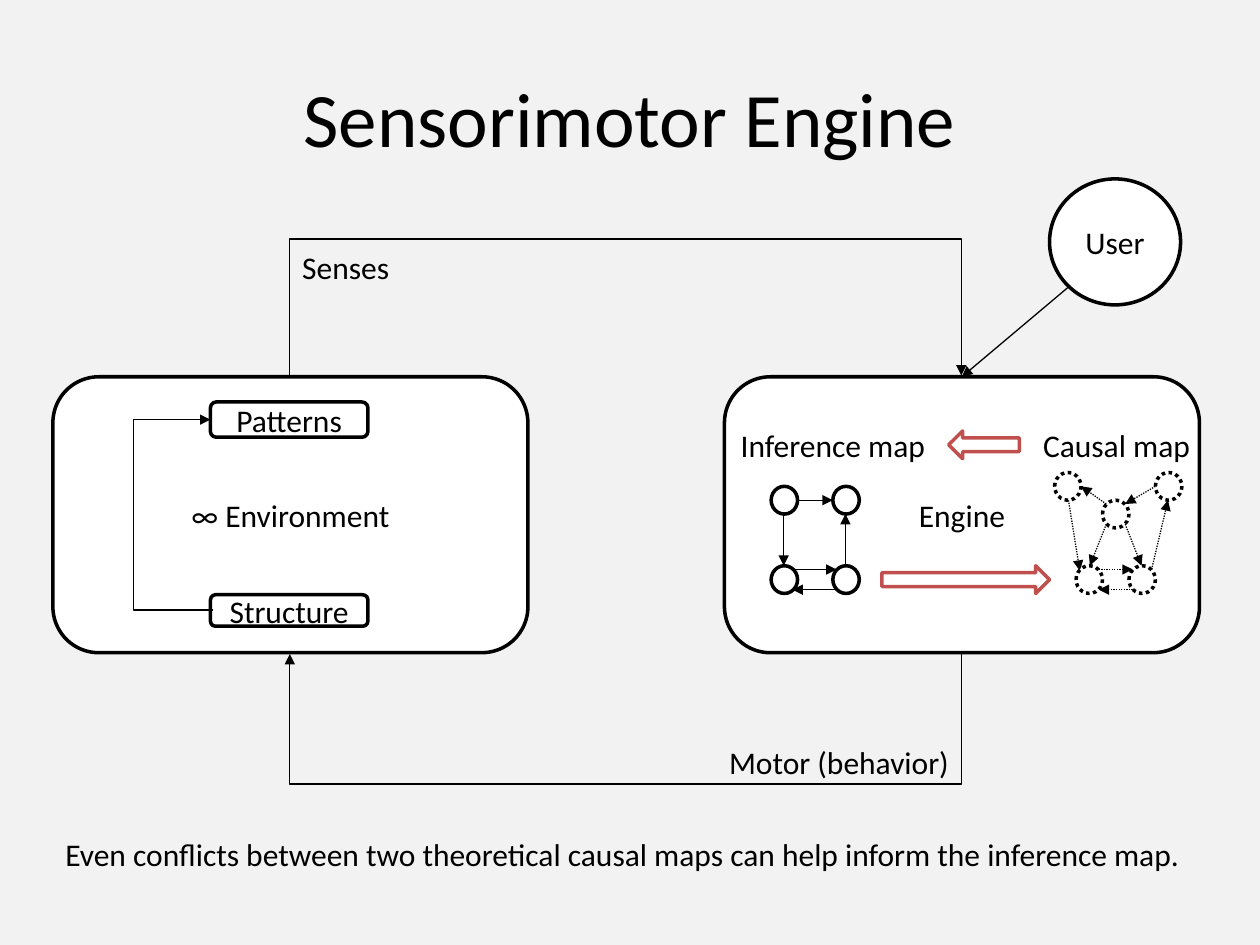
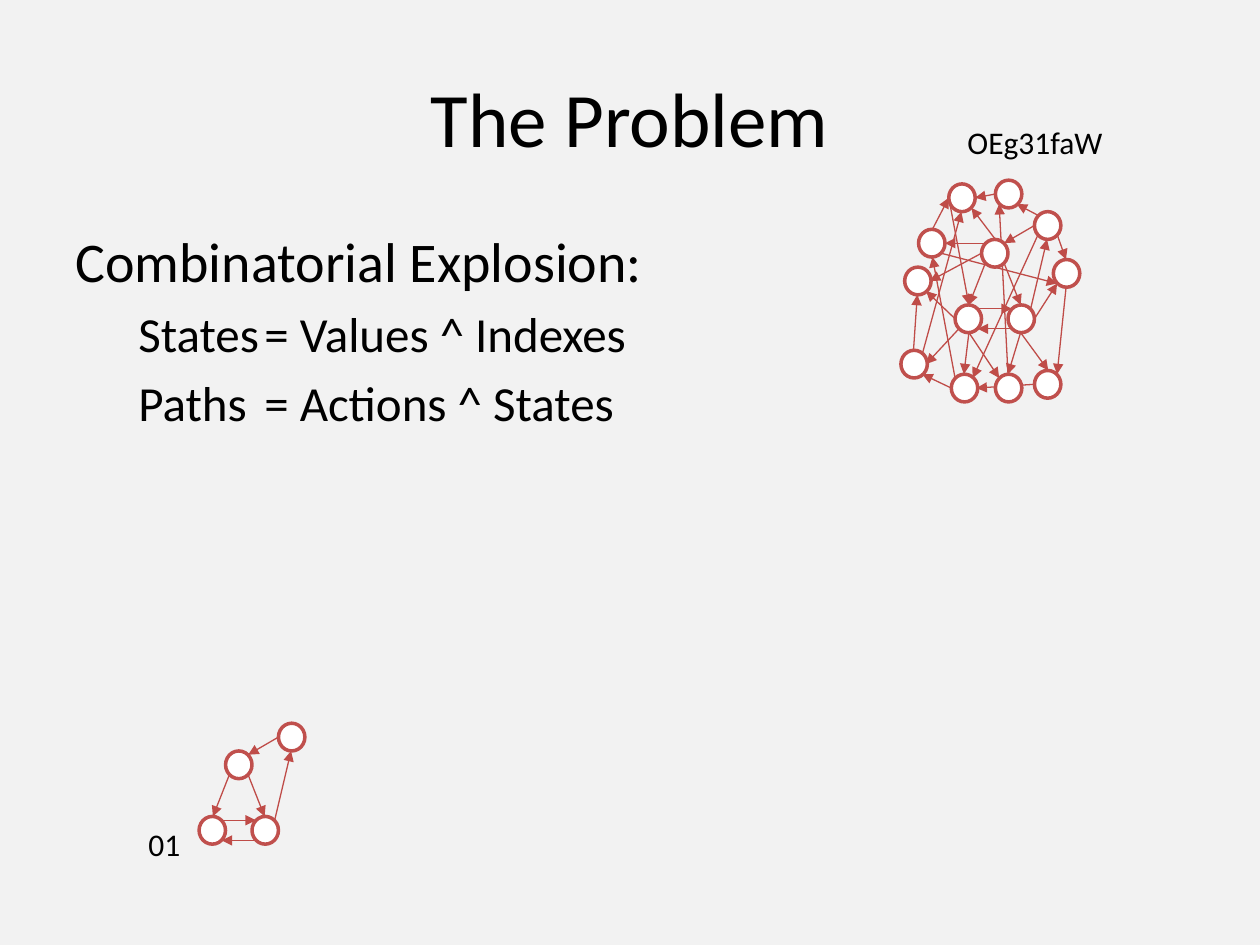
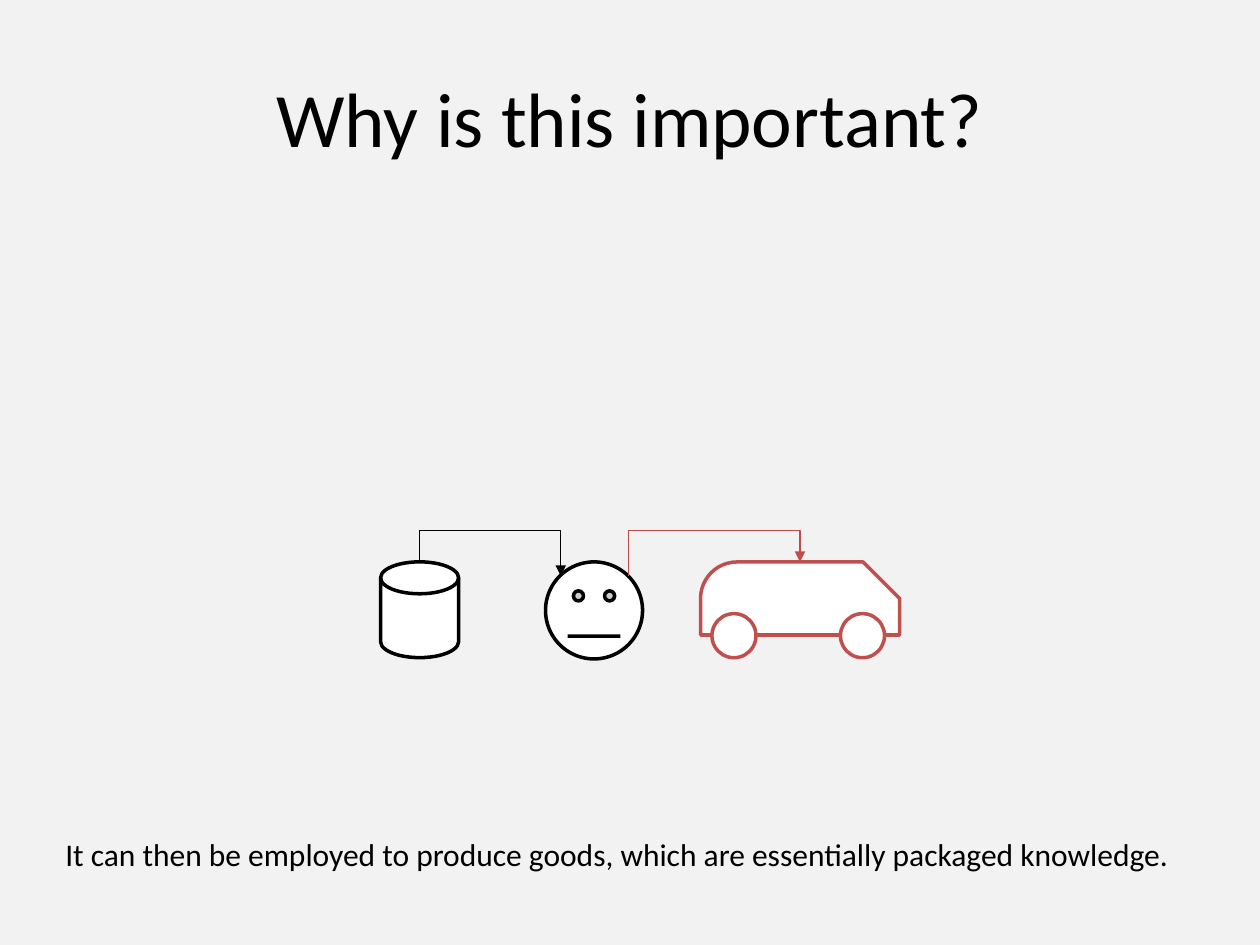
from lxml import etree
from pptx import Presentation
from pptx.dml.color import RGBColor
from pptx.enum.dml import MSO_LINE
from pptx.enum.shapes import MSO_CONNECTOR, MSO_SHAPE
from pptx.enum.text import MSO_ANCHOR, MSO_AUTO_SIZE, PP_ALIGN
from pptx.oxml.ns import qn
from pptx.util import Pt

# Scale: 100 px to the inch
PX = 9144

# Shared look
BACKGROUND = RGBColor(0xF2, 0xF2, 0xF2)
BLACK = RGBColor(0x00, 0x00, 0x00)
WHITE = RGBColor(0xFF, 0xFF, 0xFF)
RED = RGBColor(0xC0, 0x50, 0x4D)
ARROW_RED = RGBColor(0xBF, 0x4C, 0x48)
FONT = "Calibri"
THICK, THIN = Pt(2), Pt(0.75)
NODE_SIZE = (21, 22)

# Enum members
LEFT, CENTER, RIGHT = PP_ALIGN.LEFT, PP_ALIGN.CENTER, PP_ALIGN.RIGHT
TOP, MIDDLE = MSO_ANCHOR.TOP, MSO_ANCHOR.MIDDLE
GROW, FIXED = MSO_AUTO_SIZE.SHAPE_TO_FIT_TEXT, MSO_AUTO_SIZE.NONE
STRAIGHT, ELBOW = MSO_CONNECTOR.STRAIGHT, MSO_CONNECTOR.ELBOW
DOTTED = MSO_LINE.ROUND_DOT
NODE = MSO_SHAPE.FLOWCHART_CONNECTOR
ROUNDED = MSO_SHAPE.ROUNDED_RECTANGLE
DISK = MSO_SHAPE.FLOWCHART_MAGNETIC_DISK
FACE = MSO_SHAPE.SMILEY_FACE
CAR_BODY = MSO_SHAPE.SNIP_ROUND_RECTANGLE
OVAL = MSO_SHAPE.OVAL
RIGHT_ARROW, LEFT_ARROW = MSO_SHAPE.RIGHT_ARROW, MSO_SHAPE.LEFT_ARROW

# Cosine and sine of each quarter turn of an elbow
TURNS = {90: (0, 1), 180: (-1, 0), 270: (0, -1)}

# Graphs: node corners, and arrows as x1, y1, x2, y2
CORE_NODES = [(21, 22), (42, 74), (0, 74), (63, 0)]
CORE_ARROWS = [
    (39, 41, 52, 74), (24, 41, 11, 74), (18, 77, 45, 77),
    (45, 93, 18, 93), (60, 77, 73, 22), (63, 11, 39, 25),
]
CAUSAL_NODES = [(837, 375)]
CAUSAL_ARROWS = [(878, 400, 858, 386), (848, 397, 857, 453)]
INFERENCE_NODES = [(612, 386), (661, 449), (612, 449), (661, 386)]
INFERENCE_ARROWS = [
    (633, 397, 661, 397), (622, 408, 622, 449), (629, 452, 664, 452),
    (664, 468, 629, 468), (671, 449, 671, 408),
]
EXPLOSION_NODES = [
    (753, 146), (790, 143), (821, 294), (836, 206), (755, 297),
    (729, 182), (718, 212), (715, 278), (790, 297),
]
EXPLOSION_ARROWS = [
    (758, 253, 735, 231), (769, 264, 765, 297), (810, 264, 832, 294),
    (821, 253, 839, 225), (810, 264, 800, 297), (769, 264, 793, 300),
    (779, 201, 738, 223), (782, 193, 750, 193), (790, 190, 771, 165),
    (839, 186, 846, 206), (824, 171, 807, 162), (846, 229, 839, 297),
    (761, 261, 735, 289), (725, 278, 728, 234), (758, 300, 740, 204),
    (732, 281, 763, 168), (824, 186, 772, 300), (800, 297, 793, 162),
    (747, 201, 839, 225), (753, 157, 769, 242), (821, 305, 775, 308),
    (755, 308, 732, 297), (790, 154, 774, 157), (740, 182, 753, 157),
]


def emu(*lengths):
    return [round(length * PX) for length in lengths]


def set_values(target, values):
    for name, value in values.items():
        setattr(target, name, value)


def write(para, text, size, align=LEFT):
    para.alignment = align
    span = para.add_run()
    span.text = text
    set_values(span.font, {"name": FONT, "size": Pt(size)})
    span.font.color.rgb = BLACK


def style_line(line, color, width, dash=None):
    line.color.rgb = color
    set_values(line, {"width": width, "dash_style": dash})


# Text
def add_text(slide, frame, text, size=18, align=LEFT, anchor=TOP, fit=GROW):
    box = slide.shapes.add_textbox(*emu(*frame))
    set_values(box.text_frame, {
        "word_wrap": True, "auto_size": fit, "vertical_anchor": anchor})
    write(box.text_frame.paragraphs[0], text, size, align)
    return box


def add_titled_slide(deck, title):
    slide = deck.slides.add_slide(deck.slide_layouts[6])
    add_text(slide, (50, 30, 900, 125), title, 44, CENTER, MIDDLE, FIXED)
    return slide


def add_caption(slide, text):
    add_text(slide, (42, 658, 917, 40), text)


def add_outline(slide, heading, items):
    box = add_text(slide, (50, 175, 900, 495), heading, 32, fit=FIXED)
    box.text_frame.paragraphs[0].space_before = Pt(6.4)
    for item in items:
        para = box.text_frame.add_paragraph()
        set_values(para, {"level": 1, "space_before": Pt(5.6)})
        properties = para._p.get_or_add_pPr()
        properties.set("marL", str(50 * PX))
        properties.set("indent", "0")
        write(para, item, 28)


# Shapes
def add_shape(slide, kind, frame, color=BLACK, text=None, dash=None, adjust=()):
    shape = slide.shapes.add_shape(kind, *emu(*frame))
    shape.shadow.inherit = False
    shape.fill.solid()
    shape.fill.fore_color.rgb = WHITE
    style_line(shape.line, color, THICK, dash)
    for index, value in enumerate(adjust):
        shape.adjustments[index] = value
    if text:
        shape.text_frame.vertical_anchor = MIDDLE
        write(shape.text_frame.paragraphs[0], text, 18, CENTER)
    return shape


# Connectors
def add_arrow(slide, ends, color=BLACK, dash=None, kind=STRAIGHT):
    arrow = slide.shapes.add_connector(kind, *emu(*ends))
    style_line(arrow.line, color, THIN, dash)
    properties = arrow._element.spPr
    etree.SubElement(properties.find(qn("a:ln")), qn("a:tailEnd"), type="triangle")
    etree.SubElement(properties, qn("a:effectLst"))
    return arrow


def add_elbow(slide, ends, level, turn, color=BLACK):
    """Three-part arrow whose middle part lies at the given x (turn 180) or y."""
    x1, y1, x2, y2 = ends
    dx, dy = x2 - x1, y2 - y1
    cosine, sine = TURNS[turn]
    half_width = (dx * cosine + dy * sine) / 2
    half_height = (dy * cosine - dx * sine) / 2
    middle_x, middle_y = (x1 + x2) / 2, (y1 + y2) / 2
    arrow = add_arrow(slide, (
        middle_x - half_width, middle_y - half_height,
        middle_x + half_width, middle_y + half_height), color, kind=ELBOW)
    arrow.rotation = turn
    share = (level - x1) / dx if turn == 180 else (level - y1) / dy
    geometry = arrow._element.spPr.find(qn("a:prstGeom"))
    guides = geometry.find(qn("a:avLst"))
    if guides is None:
        guides = etree.SubElement(geometry, qn("a:avLst"))
    etree.SubElement(guides, qn("a:gd"), name="adj1",
                     fmla=f"val {round(share * 100000)}")


def add_graph(slide, nodes, arrows, color=BLACK, arrow_color=BLACK, dash=None):
    for ends in arrows:
        add_arrow(slide, ends, arrow_color, dash)
    for corner in nodes:
        add_shape(slide, NODE, (*corner, *NODE_SIZE), color, dash=dash)


def core_at(left, top):
    nodes = [(left + x, top + y) for x, y in CORE_NODES]
    arrows = [(left + x1, top + y1, left + x2, top + y2)
              for x1, y1, x2, y2 in CORE_ARROWS]
    return nodes, arrows


# Slides
def build_engine(deck):
    slide = add_titled_slide(deck, "Sensorimotor Engine")
    engine = add_shape(slide, ROUNDED, (575, 299, 377, 219), text="Engine")
    add_shape(slide, ROUNDED, (42, 299, 377, 219), text="∞ Environment")

    # Loop between environment and engine
    add_elbow(slide, (230, 299, 763, 298), 188, 90)
    add_elbow(slide, (763, 518, 230, 519), 624, 90)
    add_text(slide, (230, 192, 225, 40), "Senses")
    add_text(slide, (455, 585, 308, 40), "Motor (behavior)", align=RIGHT)

    # User
    user_arrow = add_arrow(slide, (849, 227, 763, 299))
    user_arrow.end_connect(engine, 0)
    add_shape(slide, NODE, (833, 142, 104, 100), text="User")

    # Maps inside the engine
    nodes, arrows = core_at(854, 375)
    add_graph(slide, nodes + CAUSAL_NODES, arrows + CAUSAL_ARROWS, dash=DOTTED)
    add_graph(slide, INFERENCE_NODES, INFERENCE_ARROWS)
    add_text(slide, (818, 333, 150, 40), "Causal map")
    add_text(slide, (578, 333, 185, 40), "Inference map")
    add_shape(slide, RIGHT_ARROW, (700, 449, 133, 22), RED)
    add_shape(slide, LEFT_ARROW, (753, 342, 56, 22), RED)

    # Inside the environment
    add_shape(slide, ROUNDED, (167, 472, 125, 25), text="Structure")
    add_shape(slide, ROUNDED, (167, 319, 125, 28), text="Patterns")
    add_elbow(slide, (169, 484, 167, 333), 106, 180)
    add_caption(slide, "Even conflicts between two theoretical causal maps "
                       "can help inform the inference map.")


def build_problem(deck):
    slide = add_titled_slide(deck, "The Problem")
    add_outline(slide, "Combinatorial Explosion:",
                ["States\t= Values ^ Indexes", "Paths \t= Actions ^ States"])
    add_text(slide, (108, 650, 92, 40), "01")
    add_text(slide, (758, 93, 142, 40), "OEg31faW")
    nodes, arrows = core_at(758, 168)
    add_graph(slide, nodes + EXPLOSION_NODES, arrows + EXPLOSION_ARROWS,
              RED, ARROW_RED)
    add_graph(slide, *core_at(158, 574), RED, ARROW_RED)


def build_importance(deck):
    slide = add_titled_slide(deck, "Why is this important?")
    add_caption(slide, "It can then be employed to produce goods, "
                       "which are essentially packaged knowledge.")
    add_shape(slide, DISK, (302, 446, 62, 76))
    add_shape(slide, FACE, (433, 446, 77, 77), adjust=[0])
    add_elbow(slide, (333, 446, 445, 457), 421, 270)

    # Car
    add_shape(slide, CAR_BODY, (556, 446, 158, 58), RED, adjust=[0.5, 0.5])
    add_elbow(slide, (499, 457, 635, 446), 421, 90, ARROW_RED)
    for left in (565, 667):
        add_shape(slide, OVAL, (left, 487, 35, 35), RED)


def main():
    deck = Presentation()
    deck.slide_width, deck.slide_height = emu(1000, 750)
    fill = deck.slide_master.background.fill
    fill.solid()
    fill.fore_color.rgb = BACKGROUND
    build_engine(deck)
    build_problem(deck)
    build_importance(deck)
    deck.save("out.pptx")


if __name__ == "__main__":
    main()
